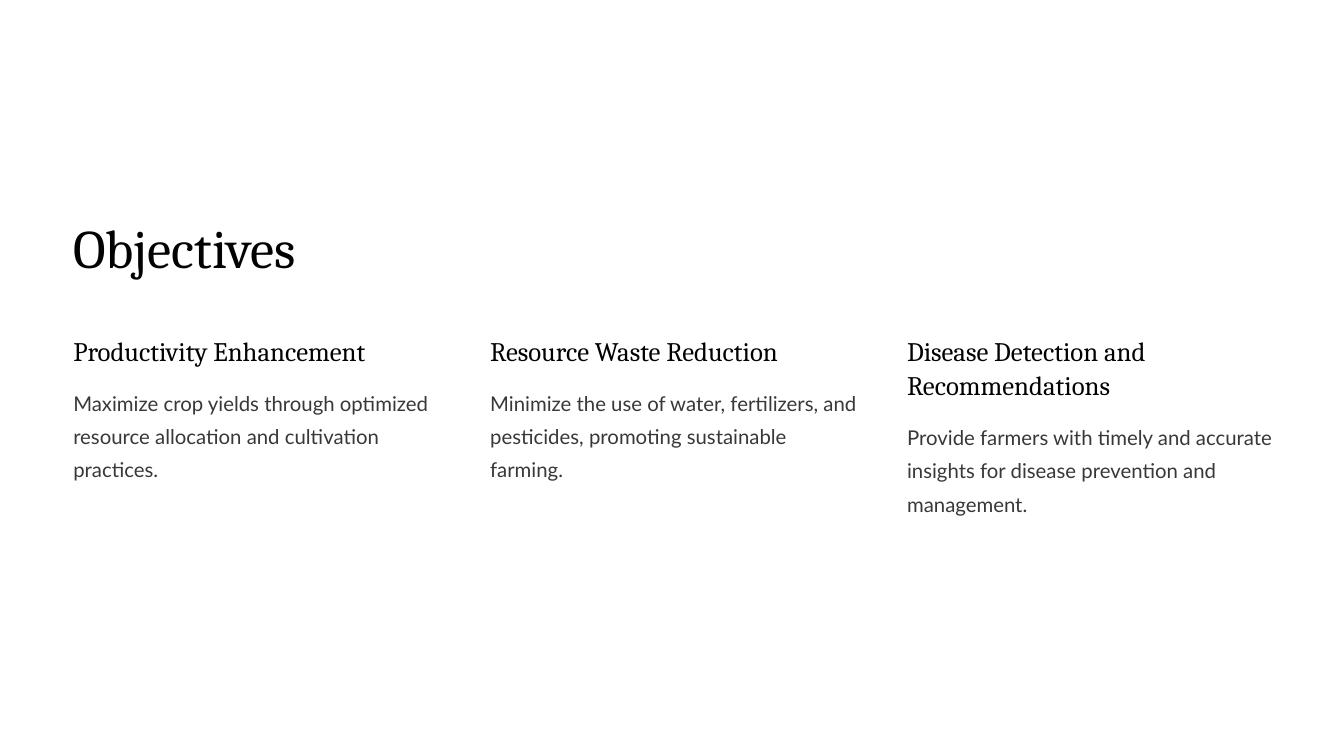
from pptx import Presentation
from pptx.dml.color import RGBColor
from pptx.enum.shapes import MSO_SHAPE
from pptx.enum.text import MSO_ANCHOR, MSO_AUTO_SIZE, PP_ALIGN
from pptx.util import Inches, Pt

WHITE = RGBColor(0xFF, 0xFF, 0xFF)
PAPER = RGBColor(0xFA, 0xFA, 0xFA)
INK = RGBColor(0x02, 0x02, 0x02)
GREY = RGBColor(0x38, 0x38, 0x38)

MARGIN = 5.45
COLUMN_PITCH = 31.02
COLUMN_WIDTH = 27.6
HEADING_TOP = 44
HEADING_LINE = 4.53
HEADING_GAP = 2.05

OBJECTIVES = [
    ("Productivity Enhancement", 1,
     "Maximize crop yields through optimized resource allocation and cultivation practices."),
    ("Resource Waste Reduction", 1,
     "Minimize the use of water, fertilizers, and pesticides, promoting sustainable farming."),
    ("Disease Detection and Recommendations", 2,
     "Provide farmers with timely and accurate insights for disease prevention and management."),
]


def write(frame, text, *, font, size, color, leading):
    frame.word_wrap = True
    frame.auto_size = MSO_AUTO_SIZE.NONE
    frame.vertical_anchor = MSO_ANCHOR.TOP
    frame.margin_left = frame.margin_right = 0
    frame.margin_top = frame.margin_bottom = 0
    paragraph = frame.paragraphs[0]
    paragraph.alignment = PP_ALIGN.LEFT
    paragraph.line_spacing = Pt(leading)
    paragraph.space_before = Pt(0)
    run = paragraph.add_run()
    run.text = text
    run.font.name = font
    run.font.size = Pt(size)
    run.font.color.rgb = color


class ObjectivesSlide:
    TITLE = dict(font="Cambria", size=58.1, color=INK, leading=73.1)
    HEADING = dict(font="Cambria", size=28.7, color=INK, leading=36.3)
    BODY = dict(font="Lato", size=21.8, color=GREY, leading=35.6)

    def __init__(self, deck):
        self.width, self.height = deck.slide_width, deck.slide_height
        self.slide = deck.slides.add_slide(deck.slide_layouts[5])
        self.slide.background.fill.solid()
        self.slide.background.fill.fore_color.rgb = PAPER

    def area(self, left, top, width, height):
        return (int(self.width * left / 100), int(self.height * top / 100),
                int(self.width * width / 100), int(self.height * height / 100))

    def panel(self, color):
        sheet = self.slide.shapes.add_shape(
            MSO_SHAPE.RECTANGLE, *self.area(0, 0, 100, 100))
        sheet.shadow.inherit = False
        sheet.fill.solid()
        sheet.fill.fore_color.rgb = color
        sheet.line.fill.background()
        self.slide.shapes.title.element.addprevious(sheet.element)

    def title(self, text):
        heading = self.slide.shapes.title
        heading.left, heading.top, heading.width, heading.height = self.area(
            MARGIN, 27.91, 40.7, 9.42)
        write(heading.text_frame, text, **self.TITLE)

    def text(self, text, left, top, height, style):
        box = self.slide.shapes.add_textbox(*self.area(left, top, COLUMN_WIDTH, height))
        write(box.text_frame, text, **style)

    def objective(self, column, heading, lines, body):
        left = MARGIN + column * COLUMN_PITCH
        heading_height = lines * HEADING_LINE
        body_top = HEADING_TOP + heading_height + HEADING_GAP
        self.text(heading, left, HEADING_TOP, heading_height, self.HEADING)
        self.text(body, left, body_top, 14.13, self.BODY)


def main():
    deck = Presentation()
    deck.slide_width, deck.slide_height = Inches(20), Inches(11.25)
    page = ObjectivesSlide(deck)
    page.panel(WHITE)
    page.title("Objectives")
    for column, (heading, lines, body) in enumerate(OBJECTIVES):
        page.objective(column, heading, lines, body)
    deck.save("out.pptx")


if __name__ == "__main__":
    main()
